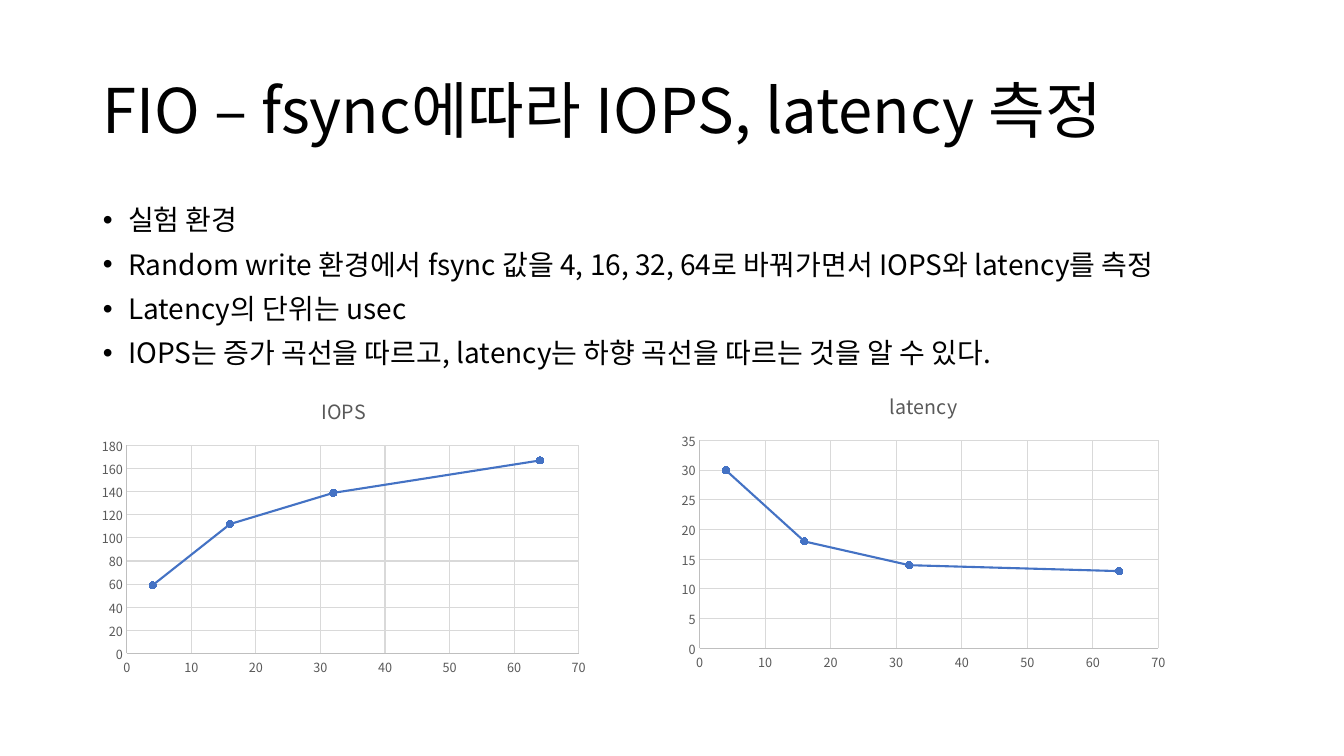
import pptx
import pptx.chart.data
import pptx.dml.color
import pptx.enum.chart
import pptx.enum.text
import pptx.oxml
import pptx.oxml.ns
import pptx.util

FONT = "Noto Sans CJK KR"
BLACK, GRAY, AXIS, GRID, BLUE = "000000", "595959", "BFBFBF", "D9D9D9", "4472C4"
FSYNC_VALUES = [4, 16, 32, 64]
inches, points = pptx.util.Inches, pptx.util.Pt


def color(hex_text):
    return pptx.dml.color.RGBColor.from_string(hex_text)


def set_font(font, size, hex_text):
    font.name, font.size, font.bold = FONT, points(size), False
    font.color.rgb = color(hex_text)


def set_line(line, hex_text, width):
    line.color.rgb = color(hex_text)
    line.width = points(width)


def fill_placeholder(holder, box, lines, size, anchor):
    holder.left, holder.top, holder.width, holder.height = map(inches, box)
    frame = holder.text_frame
    frame.text = "\n".join(lines)
    frame.word_wrap = True
    frame.auto_size = pptx.enum.text.MSO_AUTO_SIZE.NONE
    frame.vertical_anchor = anchor
    for para in frame.paragraphs:
        para.alignment = pptx.enum.text.PP_ALIGN.LEFT
        para.line_spacing = 0.9
        set_font(para.font, size, hex_text=BLACK)
        # Korean glyphs take the East Asian typeface
        latin = para.font._element.find(pptx.oxml.ns.qn("a:latin"))
        latin.addnext(pptx.oxml.parse_xml(
            f'<a:ea {pptx.oxml.ns.nsdecls("a")} typeface="{FONT}"/>'))
    return frame


def add_title(page, box, text):
    frame = fill_placeholder(page.shapes.title, box, [text], 44,
                             pptx.enum.text.MSO_ANCHOR.MIDDLE)
    frame.paragraphs[0].space_before = points(0)


def add_bullets(page, box, lines):
    frame = fill_placeholder(page.placeholders[1], box, lines, 20,
                             pptx.enum.text.MSO_ANCHOR.TOP)
    for para in frame.paragraphs:
        para.space_before = points(10)
        properties = para._p.get_or_add_pPr()
        properties.set("marL", str(inches(0.25)))
        properties.set("indent", str(inches(-0.25)))


def add_curve(page, box, name, values, top_value, step):
    data = pptx.chart.data.XyChartData()
    points_data = data.add_series(name)
    for fsync, value in zip(FSYNC_VALUES, values):
        points_data.add_data_point(fsync, value)
    chart = page.shapes.add_chart(
        pptx.enum.chart.XL_CHART_TYPE.XY_SCATTER_LINES,
        *map(inches, box), data).chart
    set_font(chart.font, 10, BLACK)
    chart.has_legend = False

    # Chart title
    chart.has_title = True
    chart.chart_title.include_in_layout = False
    title = chart.chart_title.text_frame
    title.text = name
    set_font(title.paragraphs[0].font, 14, GRAY)

    # Axes and grid
    for axis, limit, unit in ((chart.category_axis, 70, 10),
                              (chart.value_axis, top_value, step)):
        axis.minimum_scale, axis.maximum_scale, axis.major_unit = 0, limit, unit
        axis.major_tick_mark = pptx.enum.chart.XL_TICK_MARK.NONE
        axis.minor_tick_mark = pptx.enum.chart.XL_TICK_MARK.NONE
        axis.has_major_gridlines = True
        set_line(axis.major_gridlines.format.line, GRID, 0.75)
        set_line(axis.format.line, AXIS, 0.75)
        set_font(axis.tick_labels.font, 9, GRAY)

    # Curve and markers
    plot = chart.plots[0]
    plot.vary_by_categories = False
    curve = plot.series[0]
    set_line(curve.format.line, BLUE, 1.5)
    marker = curve.marker
    marker.style, marker.size = pptx.enum.chart.XL_MARKER_STYLE.CIRCLE, 5
    marker.format.fill.solid()
    marker.format.fill.fore_color.rgb = color(BLUE)
    set_line(marker.format.line, BLUE, 0.75)
    for smooth in curve._element.findall(pptx.oxml.ns.qn("c:smooth")):
        smooth.set("val", "0")


deck = pptx.Presentation()
deck.slide_width, deck.slide_height = inches(13.33), inches(7.5)
page = deck.slides.add_slide(deck.slide_layouts[1])

add_title(page, (0.92, 0.4, 11.5, 1.45), "FIO – fsync에따라 IOPS, latency 측정")
add_bullets(page, (0.92, 2, 11.5, 4.76), [
    "실험 환경",
    "Random write 환경에서 fsync 값을 4, 16, 32, 64로 바꿔가면서 IOPS와 latency를 측정",
    "Latency의 단위는 usec",
    "IOPS는 증가 곡선을 따르고, latency는 하향 곡선을 따르는 것을 알 수 있다.",
])
add_curve(page, (0.91, 3.76, 5, 3), "IOPS", [59, 112, 139, 167], 180, 20)
add_curve(page, (6.66, 3.71, 5, 3), "latency", [30, 18, 14, 13], 35, 5)

deck.save("out.pptx")
